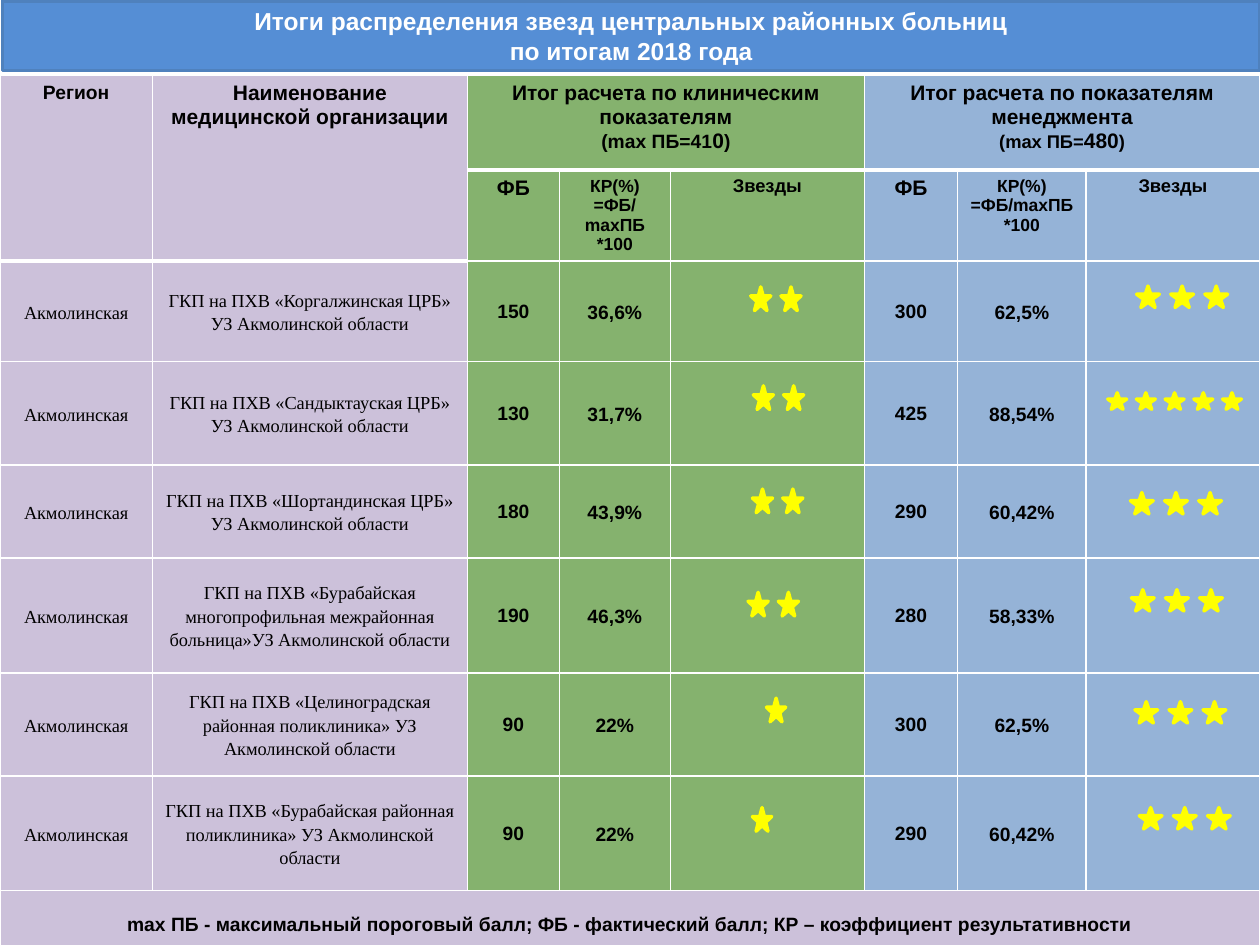
import pptx
import pptx.util
import pptx.dml.color
import pptx.enum.shapes
import pptx.enum.text
import pptx.oxml
import pptx.oxml.ns

Pt = pptx.util.Pt
RGBColor = pptx.dml.color.RGBColor
MIDDLE = pptx.enum.text.MSO_ANCHOR.MIDDLE
TOP = pptx.enum.text.MSO_ANCHOR.TOP
CENTER = pptx.enum.text.PP_ALIGN.CENTER

BLACK = RGBColor(0x00, 0x00, 0x00)
WHITE = RGBColor(0xFF, 0xFF, 0xFF)
TITLE_FILL = RGBColor(0x55, 0x8E, 0xD5)
TITLE_LINE = RGBColor(0x4F, 0x81, 0xBD)
LILAC = RGBColor(0xCC, 0xC1, 0xDA)
GREEN = RGBColor(0x85, 0xB2, 0x6E)
BLUE = RGBColor(0x95, 0xB3, 0xD7)
YELLOW = RGBColor(0xFF, 0xFF, 0x00)

# Content
TITLE = "Итоги распределения звезд центральных районных больниц\vпо итогам 2018 года"
REGION = "Акмолинская"
FOOTNOTE = ("mах ПБ - максимальный пороговый балл; ФБ - фактический балл; "
            "КР – коэффициент результативности")

# Header cells: row, column, last row, last column, paragraphs of (text, size) runs
RATIO = [[("КР(%)", 10)], [("=ФБ/mахПБ *100", 10)]]
HEADERS = [
    (0, 0, 1, 0, [[("Регион", 11)]]),
    (0, 1, 1, 1, [[("Наименование медицинской организации", 12)]]),
    (0, 2, 0, 4, [[("Итог расчета по клиническим показателям", 12)],
                  [("(mах ПБ=41", 11), ("0", 12), (")", 11)]]),
    (0, 5, 0, 7, [[("Итог расчета по показателям менеджмента", 12)],
                  [("(mах ПБ=", 10.5), ("480", 12), (")", 10.5)]]),
]
for first in (2, 5):
    HEADERS += [(1, first, 1, first, [[("ФБ", 12)]]),
                (1, first + 1, 1, first + 1, RATIO),
                (1, first + 2, 1, first + 2, [[("Звезды", 10.5)]])]

# Name lines, then score, ratio and stars (count, left, top) for each group
HOSPITALS = [
    (["ГКП на ПХВ «Коргалжинская ЦРБ»", "УЗ Акмолинской области"],
     ("150", "36,6%", (2, 429, 164)), ("300", "62,5%", (3, 649.5, 163.5))),
    (["ГКП на ПХВ «Сандыктауская ЦРБ»", "УЗ Акмолинской области"],
     ("130", "31,7%", (2, 430.5, 220.5)), ("425", "88,54%", (5, 633, 224.5))),
    (["ГКП на ПХВ «Шортандинская ЦРБ»", "УЗ Акмолинской области"],
     ("180", "43,9%", (2, 430, 279.5)), ("290", "60,42%", (3, 646, 281.5))),
    (["ГКП на ПХВ «Бурабайская многопрофильная межрайонная "
      "больница»УЗ Акмолинской области"],
     ("190", "46,3%", (2, 427.5, 338.5)), ("280", "58,33%", (3, 646.5, 337))),
    (["ГКП на ПХВ «Целиноградская районная поликлиника» УЗ Акмолинской области"],
     ("90", "22%", (1, 438, 399)), ("300", "62,5%", (3, 648.5, 401))),
    (["ГКП на ПХВ «Бурабайская районная поликлиника» УЗ Акмолинской области"],
     ("90", "22%", (1, 430, 461.5)), ("290", "60,42%", (3, 651, 461.5))),
]

# Star width, height and pitch by count
STAR_SIZES = {1: (11, 13.5, 0), 2: (11.5, 13.5, 17.3),
              3: (13, 12.2, 19.5), 5: (10.8, 9.4, 16.4)}

COLUMN_WIDTHS = [87.1, 180, 52.6, 63.4, 110.9, 53.3, 73.4, 99.3]
ROW_HEIGHTS = [54, 46, 57.6, 59, 53.3, 65.5, 59, 65.5, 36.7]
COLUMN_FILLS = [LILAC] * 2 + [GREEN] * 3 + [BLUE] * 3
TEXT_INSETS = (5, 0, 5, 0)
SCORE_INSETS = (0.7, 0.7, 0.7, 0)
HEADER_INSETS = (7.2, 3.6, 7.2, 3.6)


def set_border(cell, side, width):
    properties = cell._tc.get_or_add_tcPr()
    properties.append(pptx.oxml.parse_xml(
        f'<a:ln{side} {pptx.oxml.ns.nsdecls("a")} w="{Pt(width)}">'
        f'<a:solidFill><a:srgbClr val="{WHITE}"/></a:solidFill></a:ln{side}>'))


def style_font(font, size, name="Arial", bold=True, color=BLACK):
    font.size, font.name, font.bold = Pt(size), name, bold
    font.color.rgb = color


def fill_cell(cell, paragraphs, insets, anchor=MIDDLE, spacing=None,
              name="Arial", bold=True):
    cell.vertical_anchor = anchor
    (cell.margin_left, cell.margin_top,
     cell.margin_right, cell.margin_bottom) = map(Pt, insets)
    for index, runs in enumerate(paragraphs):
        frame = cell.text_frame
        paragraph = frame.paragraphs[0] if index == 0 else frame.add_paragraph()
        paragraph.alignment = CENTER
        if spacing:
            paragraph.line_spacing = spacing
        style_font(paragraph.font, runs[0][1], name, bold)
        for text, size in runs:
            run = paragraph.add_run()
            run.text = text
            if size != runs[0][1]:
                run.font.size = Pt(size)


def add_stars(slide, count, left, top):
    width, height, pitch = STAR_SIZES[count]
    shapes = slide.shapes if count == 1 else slide.shapes.add_group_shape().shapes
    for index in range(count):
        star = shapes.add_shape(pptx.enum.shapes.MSO_SHAPE.STAR_5_POINT,
                                Pt(left + index * pitch), Pt(top), Pt(width), Pt(height))
        star.shadow.inherit = False
        star.fill.solid()
        star.fill.fore_color.rgb = YELLOW
        star.line.color.rgb = YELLOW
        star.line.width = Pt(2)


def add_title(slide):
    title = slide.shapes.title
    title.left, title.top, title.width, title.height = map(Pt, (1.4, 0.7, 718.6, 39.6))
    title.fill.solid()
    title.fill.fore_color.rgb = TITLE_FILL
    title.line.color.rgb = TITLE_LINE
    title.line.width = Pt(2)
    title.text_frame.vertical_anchor = MIDDLE
    title.text_frame.auto_size = pptx.enum.text.MSO_AUTO_SIZE.NONE
    paragraph = title.text_frame.paragraphs[0]
    paragraph.text = TITLE
    paragraph.alignment = CENTER
    style_font(paragraph.font, 14, color=WHITE)


def add_results_table(slide):
    table = slide.shapes.add_table(
        len(ROW_HEIGHTS), len(COLUMN_WIDTHS), Pt(0), Pt(43.2),
        Pt(sum(COLUMN_WIDTHS)), Pt(sum(ROW_HEIGHTS))).table
    table.first_row = table.horz_banding = False
    for column, width in zip(table.columns, COLUMN_WIDTHS):
        column.width = Pt(width)
    last = len(ROW_HEIGHTS) - 1

    # Borders and fills
    for r, height in enumerate(ROW_HEIGHTS):
        table.rows[r].height = Pt(height)
        for c, color in enumerate(COLUMN_FILLS):
            cell = table.cell(r, c)
            for side in "LRTB":
                set_border(cell, side, 3 if r == 0 and side == "B" else 1)
            cell.fill.solid()
            cell.fill.fore_color.rgb = LILAC if r == last else color

    # Headers
    for r, c, last_r, last_c, paragraphs in HEADERS:
        if (r, c) != (last_r, last_c):
            table.cell(r, c).merge(table.cell(last_r, last_c))
        fill_cell(table.cell(r, c), paragraphs, HEADER_INSETS, TOP)

    # Hospitals
    for r, (name_lines, *groups) in enumerate(HOSPITALS, start=2):
        for c, lines in enumerate(([REGION], name_lines)):
            fill_cell(table.cell(r, c), [[(line, 10.5)] for line in lines],
                      TEXT_INSETS, spacing=1.15, name="Times New Roman", bold=False)
        for c, (score, ratio, _) in zip((2, 5), groups):
            fill_cell(table.cell(r, c), [[(score, 11)]], SCORE_INSETS)
            fill_cell(table.cell(r, c + 1), [[(ratio, 11)]], TEXT_INSETS, spacing=1.15)

    # Footnote
    table.cell(last, 0).merge(table.cell(last, len(COLUMN_WIDTHS) - 1))
    fill_cell(table.cell(last, 0), [[(FOOTNOTE, 11)]], TEXT_INSETS, spacing=1.15)


def main():
    presentation = pptx.Presentation()
    presentation.slide_width, presentation.slide_height = Pt(720), Pt(540)
    slide = presentation.slides.add_slide(presentation.slide_layouts[5])
    add_title(slide)
    add_results_table(slide)
    for _, *groups in HOSPITALS:
        for _, _, stars in groups:
            add_stars(slide, *stars)
    presentation.save("out.pptx")


if __name__ == "__main__":
    main()
